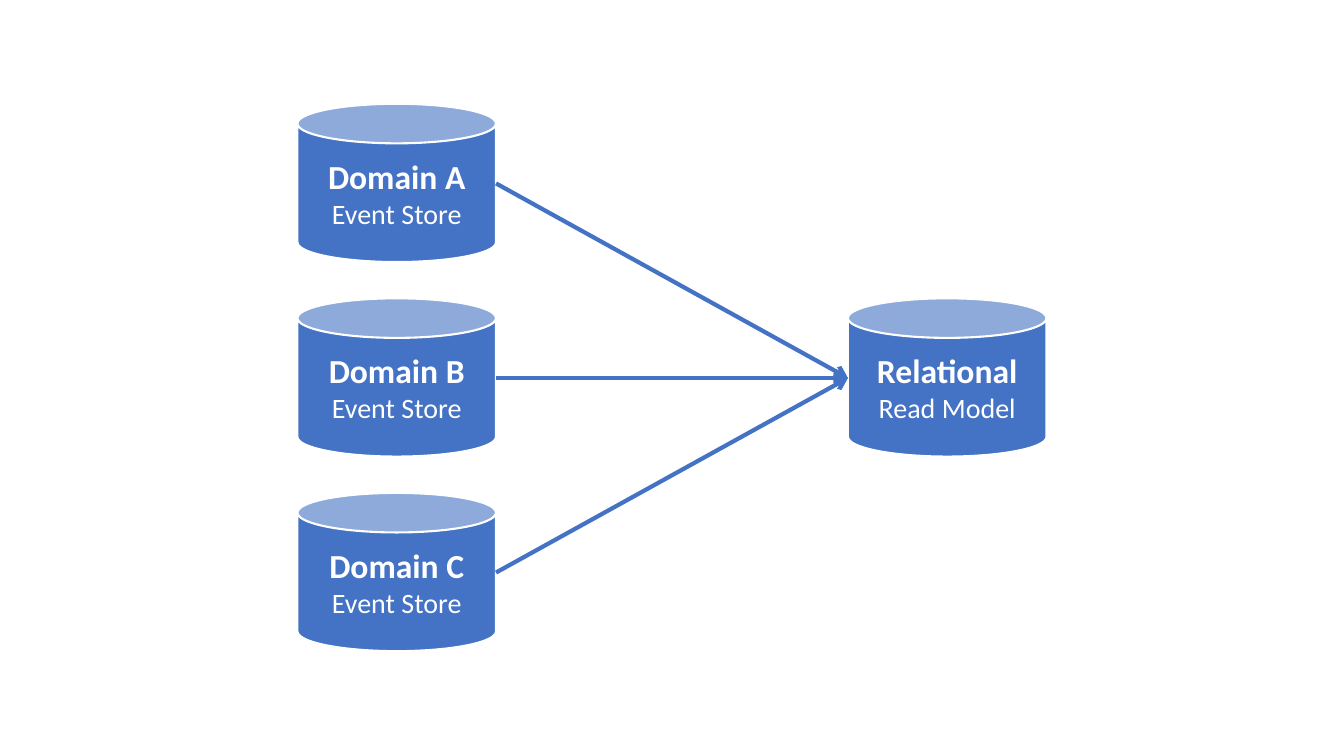
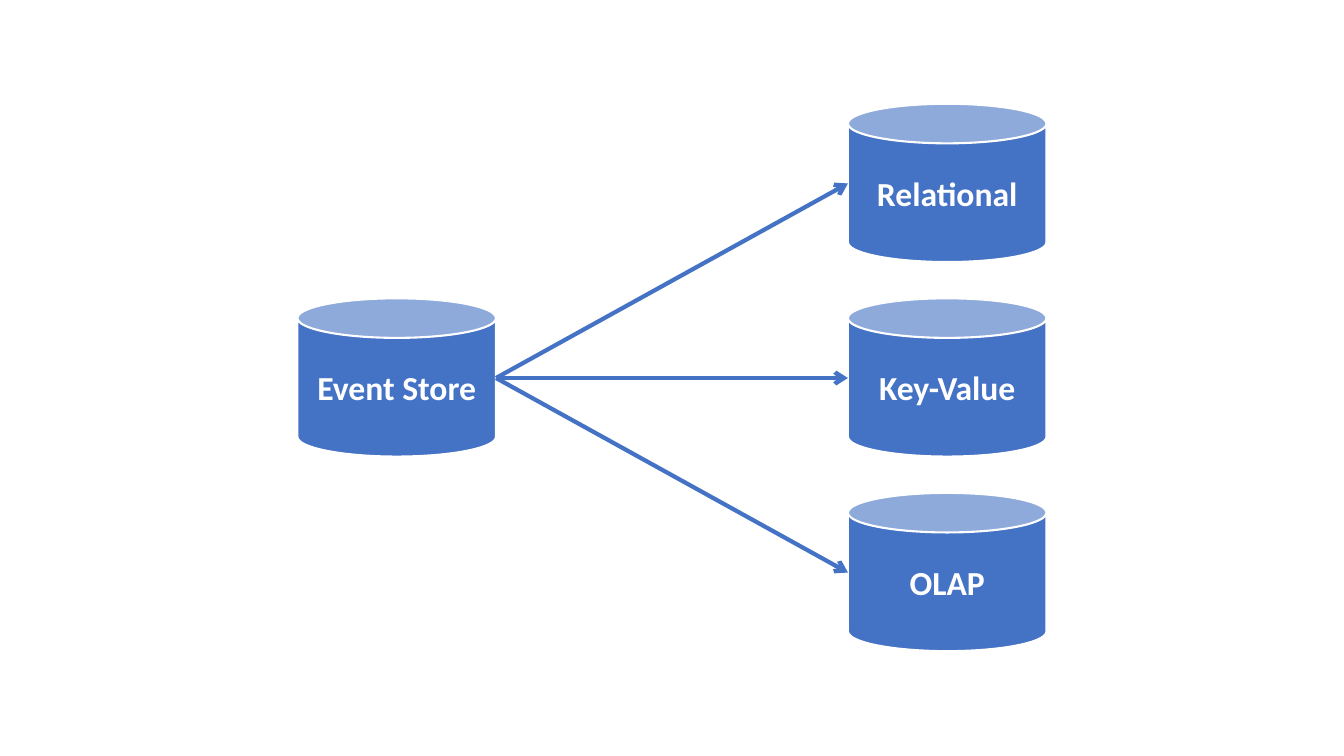
"""Build two slides of data stores joined by arrows."""
from dataclasses import dataclass

from lxml import etree
from pptx import Presentation
from pptx import util as u
from pptx.dml.color import RGBColor
from pptx.enum import shapes, text
from pptx.oxml.ns import qn


@dataclass(frozen=True)
class Theme:
    blue: RGBColor = RGBColor(0x44, 0x72, 0xC4)
    white: RGBColor = RGBColor(0xFF, 0xFF, 0xFF)
    font: str = "Calibri"
    head: int = 24
    sub: int = 20
    edge: float = 1.5
    arrow: int = 3


T = Theme()
PX = u.Inches(1) // 100
WIDE, HIGH = 197, 157
LEFT, RIGHT = 295, 841
TOP, STEP = 103, 193
MID = 79


def add_can(slide, x, row, lines):
    can = slide.shapes.add_shape(
        shapes.MSO_SHAPE.CAN, x * PX, (TOP + row * STEP) * PX, WIDE * PX, HIGH * PX)
    can.shadow.inherit = False
    can.fill.solid()
    can.fill.fore_color.rgb = T.blue
    can.line.color.rgb = T.white
    can.line.width = u.Pt(T.edge)
    frame = can.text_frame
    frame.word_wrap = True
    frame.vertical_anchor = text.MSO_ANCHOR.MIDDLE
    for i, line in enumerate(lines):
        para = frame.add_paragraph() if i else frame.paragraphs[0]
        para.alignment = text.PP_ALIGN.CENTER
        run = para.add_run()
        run.text = line
        run.font.name = T.font
        run.font.size = u.Pt(T.sub if i else T.head)
        run.font.bold = i == 0
        run.font.color.rgb = T.white


def add_arrow(slide, start, end):
    y1, y2 = [(TOP + row * STEP + MID) * PX for row in (start, end)]
    link = slide.shapes.add_connector(
        shapes.MSO_CONNECTOR.STRAIGHT, (LEFT + WIDE) * PX, y1, RIGHT * PX, y2)
    link.line.color.rgb = T.blue
    link.line.width = u.Pt(T.arrow)
    etree.SubElement(link.line._get_or_add_ln(), qn("a:tailEnd"), type="arrow")
    etree.SubElement(link._element.spPr, qn("a:effectLst"))


deck = Presentation()
deck.slide_width, deck.slide_height = 1333 * PX, 750 * PX

slides = [
    ([(0, ["Domain A", "Event Store"]),
      (1, ["Domain B", "Event Store"]),
      (2, ["Domain C", "Event Store"])],
     [(1, ["Relational", "Read Model"])]),
    ([(1, ["Event Store"])],
     [(0, ["Relational"]), (1, ["Key-Value"]), (2, ["OLAP"])]),
]

for sources, targets in slides:
    slide = deck.slides.add_slide(deck.slide_layouts[6])
    for x, stores in ((LEFT, sources), (RIGHT, targets)):
        for row, lines in stores:
            add_can(slide, x, row, lines)
    for start, _ in sources:
        for end, _ in targets:
            add_arrow(slide, start, end)

deck.save("out.pptx")
